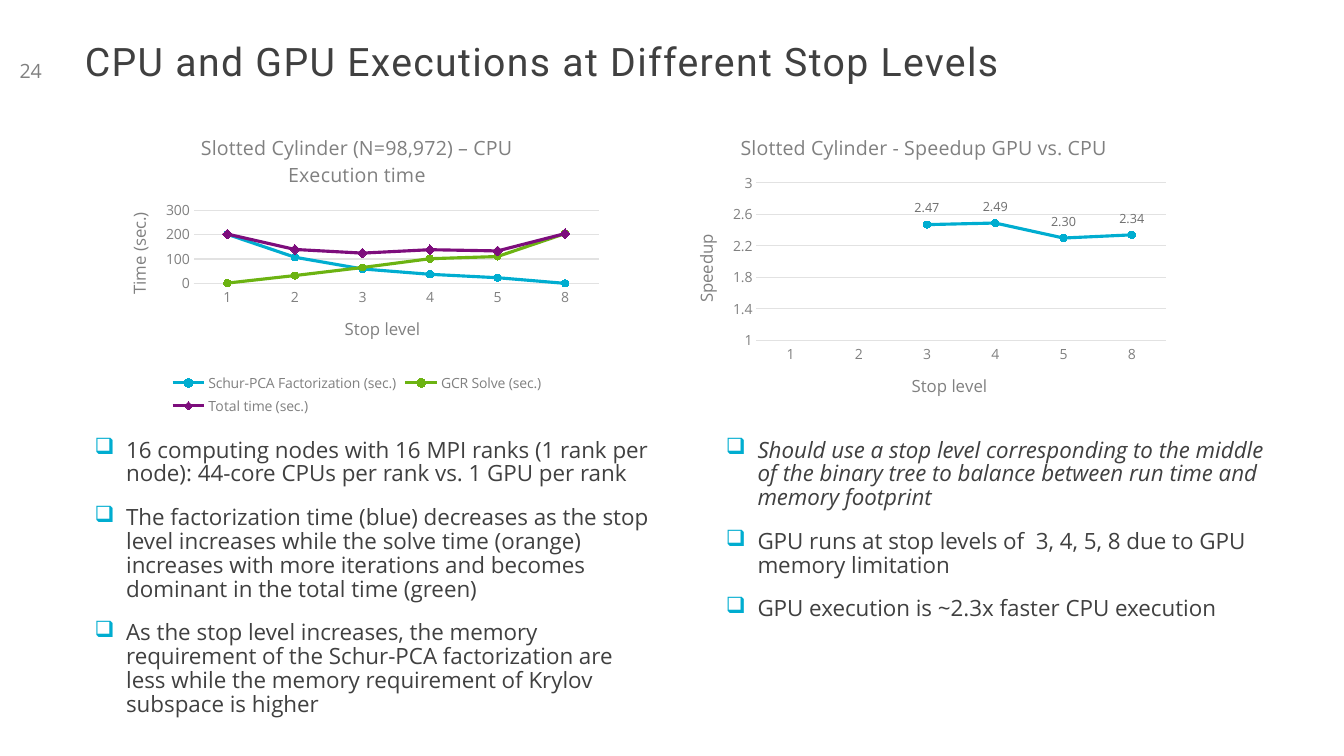
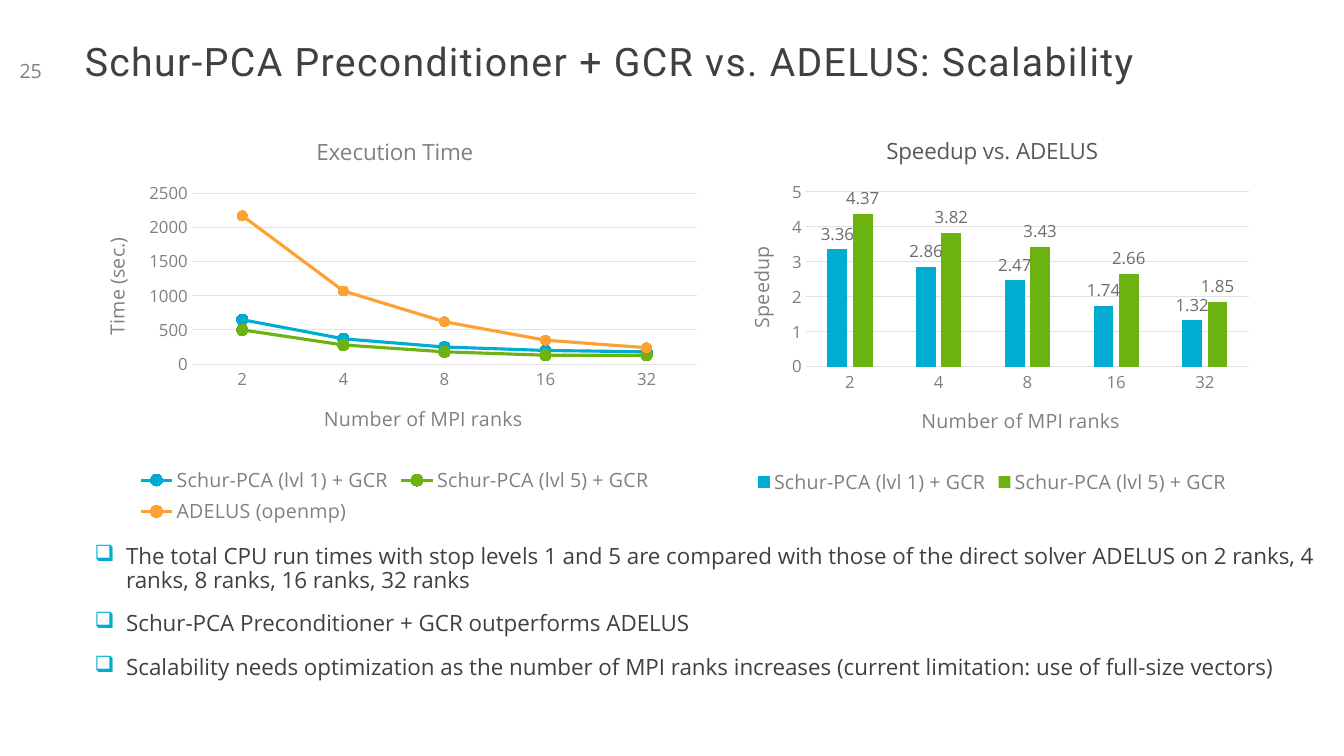
from dataclasses import dataclass
from typing import Optional

from pptx import Presentation
from pptx.chart import data as chart_data
from pptx.dml.color import RGBColor
from pptx.enum import chart as ch, text as tx
from pptx.oxml import ns, xmlchemy
from pptx.util import Pt

COLORS = {
    "ink": "404040",
    "muted": "808080",
    "heading": "595959",
    "label": "6D6D6D",
    "grid": "E2E2E2",
    "blue": "00ADD0",
    "green": "6CB312",
    "purple": "7D0D7C",
    "orange": "FFA033",
}
BODY_FONT, TITLE_FONT = "Open Sans", "Roboto"
INSET = Pt(3.6)
BULLET_INDENT = Pt(22.5)
LEFT, HEADER_TOP, HEADER_HEIGHT = 57, 28, 45
CHART_TOP = 83.5
CIRCLE, DIAMOND = ch.XL_MARKER_STYLE.CIRCLE, ch.XL_MARKER_STYLE.DIAMOND


@dataclass(frozen=True)
class Box:
    left: float
    top: float
    width: float
    height: float

    def emu(self) -> tuple:
        return Pt(self.left), Pt(self.top), Pt(self.width), Pt(self.height)


@dataclass(frozen=True)
class Series:
    name: str
    values: tuple
    color: str
    marker_size: int = 5
    marker: ch.XL_MARKER_STYLE = CIRCLE


@dataclass(frozen=True)
class Graph:
    box: Box
    title: str
    category_title: str
    value_title: str
    categories: tuple
    series: tuple
    title_size: int = 14
    axis_title_size: int = 12
    tick_size: int = 10
    legend_size: int = 0
    label_size: int = 0
    columns: bool = False
    title_color: str = "muted"
    scale: Optional[tuple] = None


@dataclass(frozen=True)
class Bullets:
    box: Box
    items: tuple
    italic_first: bool = False


@dataclass(frozen=True)
class Page:
    number: int
    title: str
    graphs: tuple
    bullets: tuple


def rgb(name: str) -> RGBColor:
    return RGBColor.from_string(COLORS[name])


def style(font, size: float, color: str, face: str = BODY_FONT) -> None:
    font.name, font.size, font.bold = face, Pt(size), False
    font.color.rgb = rgb(color)


def add_text_frame(slide, box: Box):
    frame = slide.shapes.add_textbox(*box.emu()).text_frame
    frame.word_wrap = True
    frame.margin_left = frame.margin_right = INSET
    frame.margin_top = frame.margin_bottom = INSET
    return frame


def add_header(slide, page: Page) -> None:
    """Add the slide title and the page number to its left."""
    frame = add_text_frame(slide, Box(LEFT, HEADER_TOP, 825, HEADER_HEIGHT))
    frame.text = page.title
    heading = frame.paragraphs[0]
    heading.line_spacing = 0.85
    run = heading.runs[0]
    style(run.font, 28, "ink", TITLE_FONT)
    run.font._element.set("spc", "100")

    frame = add_text_frame(slide, Box(0, HEADER_TOP, 44, HEADER_HEIGHT))
    frame.vertical_anchor = tx.MSO_ANCHOR.MIDDLE
    frame.text = str(page.number)
    number = frame.paragraphs[0]
    number.alignment = tx.PP_ALIGN.CENTER
    style(number.runs[0].font, 14, "muted")


def add_bullet_mark(paragraph) -> None:
    properties = paragraph._p.get_or_add_pPr()
    properties.set("marL", str(BULLET_INDENT))
    properties.set("indent", str(-BULLET_INDENT))
    mark_color = xmlchemy.OxmlElement("a:buClr")
    fill = xmlchemy.OxmlElement("a:srgbClr")
    fill.set("val", COLORS["blue"])
    mark_color.append(fill)
    mark = xmlchemy.OxmlElement("a:buChar")
    mark.set("char", "❑")
    properties.extend([mark_color, mark])


def add_bullets(slide, bullets: Bullets) -> None:
    frame = add_text_frame(slide, bullets.box)
    for index, item in enumerate(bullets.items):
        paragraph = frame.add_paragraph() if index else frame.paragraphs[0]
        paragraph.text = item
        add_bullet_mark(paragraph)
        paragraph.line_spacing = 0.89
        paragraph.space_before = Pt(12 if index else 0)
        paragraph.space_after = Pt(2)
        font = paragraph.runs[0].font
        style(font, 16, "ink")
        font.italic = bullets.italic_first and index == 0


def set_title(title, wording: str, size: float, color: str = "muted") -> None:
    title.text_frame.text = wording
    style(title.text_frame.paragraphs[0].runs[0].font, size, color)


def format_axes(chart, graph: Graph) -> None:
    titles = (graph.category_title, graph.value_title)
    for axis, wording in zip((chart.category_axis, chart.value_axis), titles):
        axis.major_tick_mark = axis.minor_tick_mark = ch.XL_TICK_MARK.NONE
        style(axis.tick_labels.font, graph.tick_size, "muted")
        set_title(axis.axis_title, wording, graph.axis_title_size)

    base_line = chart.category_axis.format.line
    values = chart.value_axis
    values.has_major_gridlines = True
    for line in (base_line, values.major_gridlines.format.line):
        line.color.rgb = rgb("grid")
        line.width = Pt(0.75)
    values.format.line.fill.background()
    text_body = next(values.axis_title.element.iter(ns.qn("a:bodyPr")))
    text_body.set("rot", "-5400000")
    text_body.set("vert", "horz")
    if graph.scale:
        values.minimum_scale, values.maximum_scale, values.major_unit = graph.scale


def format_series(drawn, series: Series, columns: bool) -> None:
    color = rgb(series.color)
    if columns:
        drawn.format.fill.solid()
        drawn.format.fill.fore_color.rgb = color
        return
    drawn.smooth = False
    drawn.format.line.color.rgb = color
    drawn.format.line.width = Pt(2.25)
    drawn.marker.style, drawn.marker.size = series.marker, series.marker_size
    drawn.marker.format.fill.solid()
    drawn.marker.format.fill.fore_color.rgb = color
    drawn.marker.format.line.color.rgb = color


def add_graph(slide, graph: Graph) -> None:
    content = chart_data.CategoryChartData()
    content.categories = graph.categories
    for series in graph.series:
        content.add_series(series.name, series.values)
    kinds = ch.XL_CHART_TYPE
    kind = kinds.COLUMN_CLUSTERED if graph.columns else kinds.LINE_MARKERS
    chart = slide.shapes.add_chart(kind, *graph.box.emu(), content).chart

    style(chart.font, 10, "ink")
    chart.has_title = True
    set_title(chart.chart_title, graph.title, graph.title_size, graph.title_color)
    format_axes(chart, graph)
    chart.has_legend = bool(graph.legend_size)
    if chart.has_legend:
        chart.legend.position = ch.XL_LEGEND_POSITION.BOTTOM
        chart.legend.include_in_layout = False
        style(chart.legend.font, graph.legend_size, "muted")

    plot = chart.plots[0]
    plot.vary_by_categories = False
    if graph.columns:
        plot.gap_width, plot.overlap = 219, -27
    for drawn, series in zip(plot.series, graph.series):
        format_series(drawn, series, graph.columns)
    if graph.label_size:
        plot.has_data_labels = True
        labels = plot.data_labels
        labels.show_value = True
        labels.number_format = "#,##0.00"
        labels.number_format_is_linked = False
        spots = ch.XL_LABEL_POSITION
        labels.position = spots.OUTSIDE_END if graph.columns else spots.ABOVE
        style(labels.font, graph.label_size, "label")


STOP_LEVELS = ("1", "2", "3", "4", "5", "8")
RANKS = ("2", "4", "8", "16", "32")
LEVEL_1, LEVEL_5 = "Schur-PCA (lvl 1) + GCR", "Schur-PCA (lvl 5) + GCR"
RANK_SIZES = dict(title_size=16, axis_title_size=14, tick_size=12, legend_size=14)

PAGES = (
    Page(
        24,
        "CPU and GPU Executions at Different Stop Levels",
        (
            Graph(
                Box(75, CHART_TOP, 360, 216),
                "Slotted Cylinder (N=98,972) – CPU Execution time",
                "Stop level", "Time (sec.)", STOP_LEVELS,
                (
                    Series("Schur-PCA Factorization (sec.)", (201, 107, 59, 37, 23, 0), "blue"),
                    Series("GCR Solve (sec.)", (1, 32, 65, 101, 110, 204), "green"),
                    Series("Total time (sec.)", (202, 139, 124, 138, 133, 204), "purple", 7, DIAMOND),
                ),
                legend_size=10,
            ),
            Graph(
                Box(480, CHART_TOP, 360, 216),
                "Slotted Cylinder - Speedup GPU vs. CPU",
                "Stop level", "Speedup", STOP_LEVELS,
                (Series("Series 1", (None, None, 2.47, 2.49, 2.3, 2.34), "blue"),),
                label_size=9, scale=(1, 3, 0.4),
            ),
        ),
        (
            Bullets(Box(64, 310, 405, 221), (
                "16 computing nodes with 16 MPI ranks (1 rank per node): 44-core CPUs per rank vs. 1 GPU per rank",
                "The factorization time (blue) decreases as the stop level increases while the solve time (orange) "
                "increases with more iterations and becomes dominant in the total time (green)",
                "As the stop level increases, the memory requirement of the Schur-PCA factorization are less "
                "while the memory requirement of Krylov subspace is higher",
            )),
            Bullets(Box(515, 310, 405, 221), (
                "Should use a stop level corresponding to the middle of the binary tree to balance between "
                "run time and memory footprint",
                "GPU runs at stop levels of  3, 4, 5, 8 due to GPU memory limitation",
                "GPU execution is ~2.3x faster CPU execution",
            ), italic_first=True),
        ),
    ),
    Page(
        25,
        "Schur-PCA Preconditioner + GCR vs. ADELUS: Scalability",
        (
            Graph(
                Box(LEFT, CHART_TOP, 450, 294.5),
                "Execution Time", "Number of MPI ranks", "Time (sec.)", RANKS,
                (
                    Series(LEVEL_1, (650, 370, 250, 200, 180), "blue", 8),
                    Series(LEVEL_5, (500, 280, 180, 130, 130), "green", 8),
                    Series("ADELUS (openmp)", (2170, 1070, 620, 350, 240), "orange", 7),
                ),
                **RANK_SIZES,
            ),
            Graph(
                Box(517.5, CHART_TOP, 382.5, 273.5),
                "Speedup vs. ADELUS", "Number of MPI ranks", "Speedup", RANKS,
                (
                    Series(LEVEL_1, (3.36, 2.86, 2.47, 1.74, 1.32), "blue"),
                    Series(LEVEL_5, (4.37, 3.82, 3.43, 2.66, 1.85), "green"),
                ),
                label_size=12, columns=True, title_color="heading", **RANK_SIZES,
            ),
        ),
        (
            Bullets(Box(64, 386, 893.5, 137.5), (
                "The total CPU run times with stop levels 1 and 5 are compared with those of the direct solver "
                "ADELUS on 2 ranks, 4 ranks, 8 ranks, 16 ranks, 32 ranks",
                "Schur-PCA Preconditioner + GCR outperforms ADELUS",
                "Scalability needs optimization as the number of MPI ranks increases "
                "(current limitation: use of full-size vectors)",
            )),
        ),
    ),
)


def main() -> None:
    deck = Presentation()
    deck.slide_width, deck.slide_height = Pt(960), Pt(540)
    for page in PAGES:
        slide = deck.slides.add_slide(deck.slide_layouts[6])
        add_header(slide, page)
        for graph in page.graphs:
            add_graph(slide, graph)
        for bullets in page.bullets:
            add_bullets(slide, bullets)
    deck.save("out.pptx")


if __name__ == "__main__":
    main()
